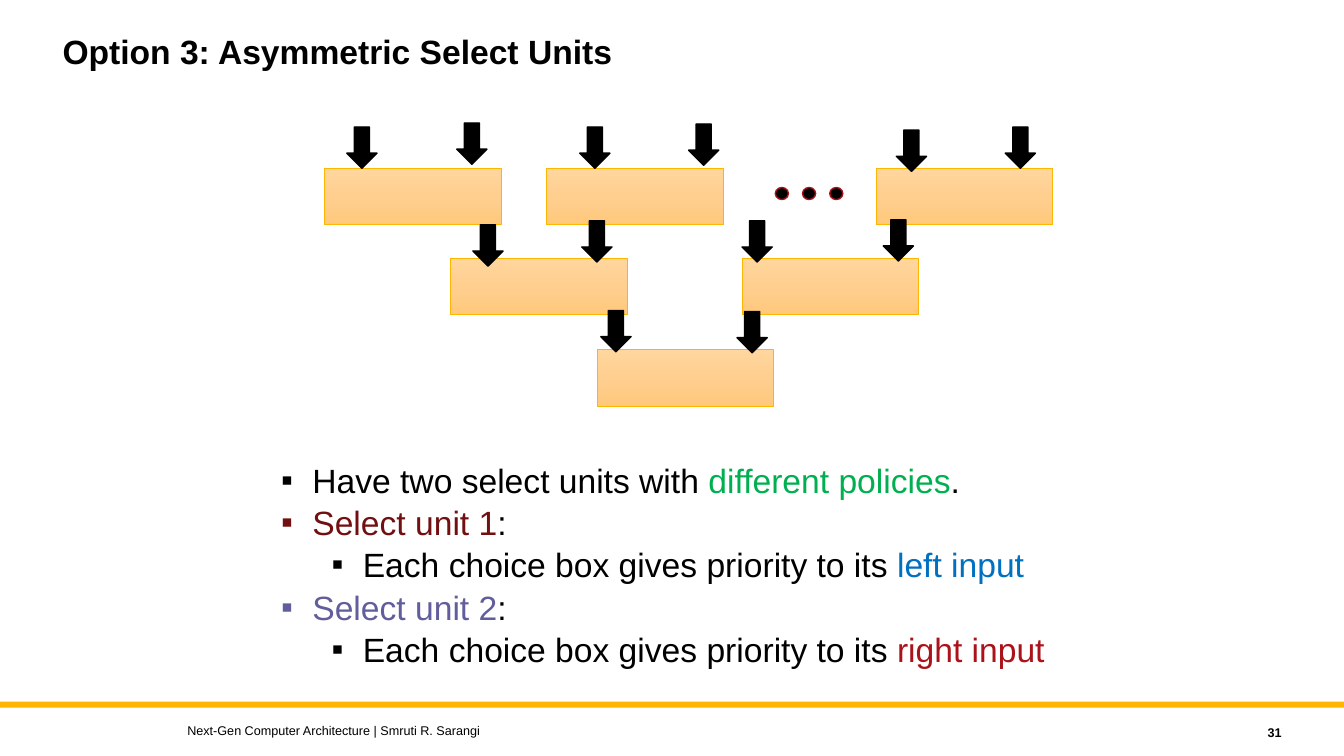
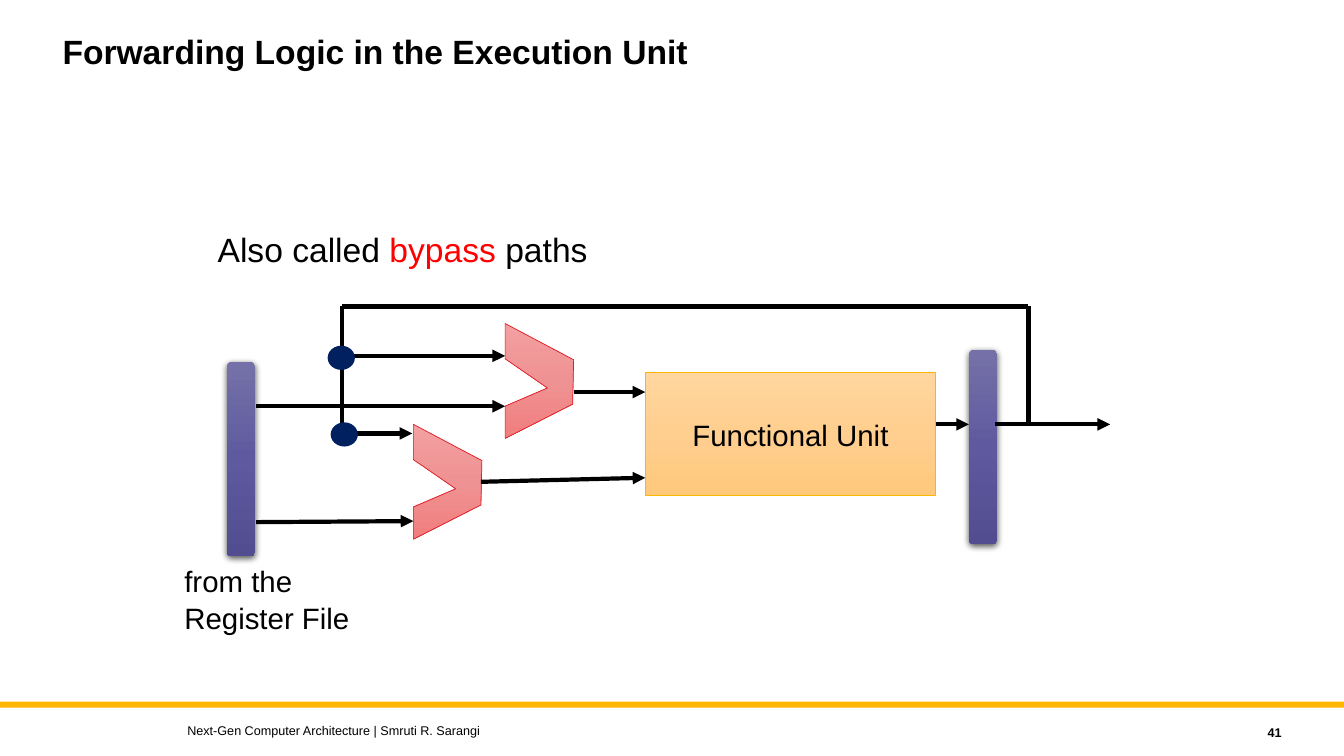
from copy import deepcopy

from lxml import etree
from pptx import Presentation
from pptx.dml.color import RGBColor
from pptx.enum.shapes import MSO_CONNECTOR, MSO_SHAPE
from pptx.enum.text import MSO_ANCHOR, MSO_AUTO_SIZE, PP_ALIGN
from pptx.oxml.ns import qn
from pptx.util import Inches, Pt

RECTANGLE = MSO_SHAPE.RECTANGLE
ROUNDED = MSO_SHAPE.ROUNDED_RECTANGLE
OVAL = MSO_SHAPE.OVAL
DOWN_ARROW = MSO_SHAPE.DOWN_ARROW
STRAIGHT = MSO_CONNECTOR.STRAIGHT
LEFT, CENTER, RIGHT = PP_ALIGN.LEFT, PP_ALIGN.CENTER, PP_ALIGN.RIGHT
TOP, MIDDLE = MSO_ANCHOR.TOP, MSO_ANCHOR.MIDDLE
NO_AUTO_SIZE = MSO_AUTO_SIZE.NONE

FONT = "Arial"
FOOTER = "Next-Gen Computer Architecture | Smruti R. Sarangi"
COLORS = {
    "black": "000000",
    "amber": "FFB600",
    "crimson": "A7131A",
    "red_line": "E21A23",
    "navy": "002060",
    "green": "00B050",
    "maroon": "720F11",
    "blue": "0070C0",
    "purple": "625D9C",
    "dark_red": "AA131A",
    "red": "FF0000",
}
GRADIENTS = {
    "orange": ("FFD69E", "FFCF90", "FFC97C"),
    "pink": ("F2A0A1", "EF9293", "F27D7E"),
    "violet": ("7571A8", "5F5A9F", "524D90"),
}


def rgb(name):
    return RGBColor.from_string(COLORS[name])


def inches(values):
    return [Inches(value) for value in values]


def add_bullet(paragraph, level):
    """Give the paragraph a square bullet with a hanging indent."""
    paragraph.level = level
    properties = paragraph._p.get_or_add_pPr()
    properties.set("marL", str(Inches(0.31 + 0.5 * level)))
    properties.set("indent", str(-Inches(0.31)))
    etree.SubElement(properties, qn("a:buFont")).set("typeface", FONT)
    etree.SubElement(properties, qn("a:buChar")).set("char", "▪")


def set_text(frame, paragraphs, size=24, bold=False, align=LEFT, anchor=TOP,
             spacing=1.05, levels=None, wrap=True):
    """Each paragraph is a string or a list of (text, colour name) runs."""
    frame.word_wrap = wrap
    frame.auto_size = NO_AUTO_SIZE
    frame.vertical_anchor = anchor
    for index, runs in enumerate(paragraphs):
        paragraph = frame.paragraphs[0] if index == 0 else frame.add_paragraph()
        if levels:
            add_bullet(paragraph, levels[index])
        paragraph.alignment = align
        paragraph.line_spacing = spacing
        if isinstance(runs, str):
            runs = [(runs, "black")]
        for text, color in runs:
            run = paragraph.add_run()
            run.text = text
            run.font.name = FONT
            run.font.size = Pt(size)
            run.font.bold = bold
            run.font.color.rgb = rgb(color)


class Deck:
    def __init__(self):
        self.presentation = Presentation()
        self.presentation.slide_width = Inches(13.33)
        self.presentation.slide_height = Inches(7.5)
        self.layout = self.presentation.slide_layouts[5]
        self.slide = None

    def new_slide(self, title, number):
        first = self.slide is None
        self.slide = self.presentation.slides.add_slide(self.layout)
        if first:
            self.add_layout_band()
        heading = self.slide.shapes.title
        heading.left, heading.top, heading.width, heading.height = inches(
            (0.52, 0.3, 10, 0.9))
        set_text(heading.text_frame, [title], bold=True, spacing=0.9)
        self.text([str(number)], (11.41, 7.14, 1.4, 0.25), size=9, bold=True,
                  align=RIGHT, anchor=MIDDLE, spacing=1)
        self.text([FOOTER], (1.76, 7.12, 8, 0.25), size=9, anchor=MIDDLE,
                  spacing=1)

    def add_layout_band(self):
        """Draw the footer band once and hand it to the shared layout."""
        band = self.shape(RECTANGLE, (0, 6.96, 13.33, 0.06), fill="amber")
        self.layout.shapes._spTree.append(band._element)

    def text(self, paragraphs, box, **style):
        text_box = self.slide.shapes.add_textbox(*inches(box))
        set_text(text_box.text_frame, paragraphs, **style)

    def shape(self, kind, box, **style):
        shape = self.slide.shapes.add_shape(kind, *inches(box))
        self.paint(shape, **style)
        return shape

    def paint(self, shape, fill, line=None, width=1):
        shape.shadow.inherit = False
        if fill in GRADIENTS:
            shape.fill.gradient()
            shape.fill.gradient_angle = 270
            stop_list = next(shape._element.iter(qn("a:gsLst")))
            stop_list.insert(1, deepcopy(stop_list[0]))
            stops = zip(shape.fill.gradient_stops, GRADIENTS[fill])
            for index, (stop, color) in enumerate(stops):
                stop.color.rgb = RGBColor.from_string(color)
                stop.position = index / 2
        else:
            shape.fill.solid()
            shape.fill.fore_color.rgb = rgb(fill)
        if line:
            shape.line.color.rgb = rgb(line)
            shape.line.width = Pt(width)
        else:
            shape.line.fill.background()

    def box(self, box):
        return self.shape(RECTANGLE, box, fill="orange", line="amber", width=0.5)

    def register(self, left, top):
        bar = self.shape(ROUNDED, (left, top, 0.28, 1.93), fill="violet")
        effects = bar._element.spPr.find(qn("a:effectLst"))
        shadow = etree.SubElement(
            effects, qn("a:outerShdw"), blurRad=str(Pt(4.5)),
            dist=str(Pt(1.5)), dir="5400000", rotWithShape="0")
        color = etree.SubElement(shadow, qn("a:srgbClr"), val=COLORS["black"])
        etree.SubElement(color, qn("a:alpha"), val="63000")

    def multiplexer(self, left, top):
        outline = [(0, 0.35), (0.42, 0.64), (0, 0.82), (0, 1.14),
                   (0.67, 0.8), (0.68, 0.36)]
        builder = self.slide.shapes.build_freeform(0, 0)
        builder.add_line_segments([inches(point) for point in outline], close=True)
        shape = builder.convert_to_shape(Inches(left), Inches(top))
        self.paint(shape, fill="pink", line="red_line", width=0.5)

    def wire(self, start, end, arrow=True):
        wire = self.slide.shapes.add_connector(STRAIGHT, *inches(start + end))
        wire.line.color.rgb = rgb("black")
        wire.line.width = Pt(3)
        if arrow:
            line = wire.line._get_or_add_ln()
            etree.SubElement(line, qn("a:tailEnd")).set("type", "triangle")
        etree.SubElement(wire._element.spPr, qn("a:effectLst"))


def build_select_units(deck):
    deck.new_slide("Option 3: Asymmetric Select Units", 31)
    choice_rows = {1.67: (3.22, 5.42, 8.69), 2.56: (4.47, 7.36), 3.47: (5.92,)}
    for top, lefts in choice_rows.items():
        for left in lefts:
            deck.box((left, top, 1.75, 0.56))
    for index in range(3):
        deck.shape(OVAL, (7.69 + 0.27 * index, 1.86, 0.13, 0.12),
                   fill="black", line="crimson")
    input_arrows = [
        (3.44, 1.26), (4.53, 1.22), (5.75, 1.26), (6.83, 1.23), (8.89, 1.29),
        (9.97, 1.26), (4.69, 2.23), (5.77, 2.19), (7.36, 2.19), (8.76, 2.18),
        (5.96, 3.08), (7.31, 3.09),
    ]
    for left, top in input_arrows:
        deck.shape(DOWN_ARROW, (left, top, 0.3, 0.41), fill="black", line="black")
    priority = "Each choice box gives priority to its "
    deck.text([
        [("Have two select units with ", "black"),
         ("different policies", "green"), (".", "black")],
        [("Select unit 1", "maroon"), (":", "black")],
        [(priority, "black"), ("left input", "blue")],
        [("Select unit 2", "purple"), (":", "black")],
        [(priority, "black"), ("right input", "dark_red")],
    ], (2.69, 4.49, 7.95, 2.12), levels=(0, 0, 1, 0, 1))


def build_forwarding(deck):
    deck.new_slide("Forwarding Logic in the Execution Unit", 41)
    deck.text([[("Also called ", "black"), ("bypass", "red"), (" paths", "black")]],
              (2.06, 2.2, 8.62, 0.61))
    functional_unit = deck.box((6.4, 3.69, 2.88, 1.22))
    set_text(functional_unit.text_frame, ["Functional Unit"], size=21,
             align=CENTER, anchor=MIDDLE)
    deck.multiplexer(5.01, 3.21)
    deck.multiplexer(4.1, 4.21)

    bypass_path = [(10.2, 4.21), (10.2, 3.04), (3.39, 3.04), (3.39, 4.3)]
    for start, end in zip(bypass_path, bypass_path[1:]):
        deck.wire(start, end, arrow=False)
    signals = [
        ((5.69, 3.89), (6.4, 3.89)),
        ((4.77, 4.78), (6.4, 4.74)),
        ((9.28, 4.21), (9.61, 4.21)),
        ((3.4, 3.53), (5.01, 3.53)),
        ((3.4, 4.3), (4.09, 4.3)),
        ((2.54, 4.03), (5.01, 4.03)),
        ((2.54, 5.18), (4.1, 5.17)),
    ]
    for start, end in signals:
        deck.wire(start, end)

    deck.register(2.25, 3.59)
    deck.register(9.61, 3.47)
    deck.wire((9.87, 4.21), (11.01, 4.21))
    for left, top in ((3.25, 3.43), (3.28, 4.19)):
        deck.shape(OVAL, (left, top, 0.27, 0.24), fill="navy")
    deck.text(["from the", "Register File"], (1.73, 5.52, 1.85, 0.81),
              size=21, wrap=False)


def main():
    deck = Deck()
    build_select_units(deck)
    build_forwarding(deck)
    deck.presentation.save("out.pptx")


if __name__ == "__main__":
    main()
